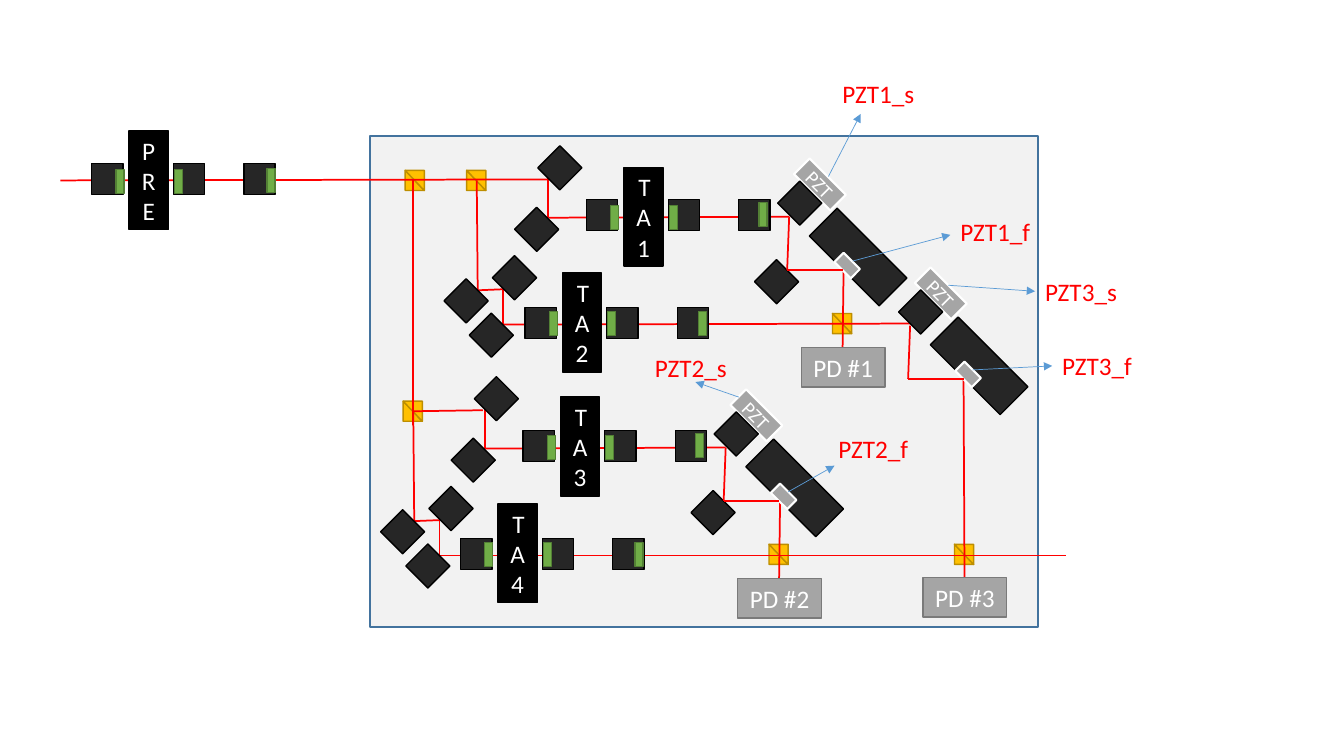
from dataclasses import dataclass
from itertools import pairwise
from typing import NamedTuple

from lxml import etree
from pptx import Presentation
from pptx.dml.color import RGBColor
from pptx.enum.shapes import MSO_CONNECTOR, MSO_SHAPE
from pptx.enum.text import MSO_ANCHOR, PP_ALIGN
from pptx.oxml.ns import qn
from pptx.util import Cm, Length, Pt


class Point(NamedTuple):
    """A place on the slide, in layout units."""
    x: float
    y: float

    def plus(self, dx: float, dy: float) -> "Point":
        """Return this point moved by dx and dy."""
        return Point(self.x + dx, self.y + dy)


class Paint(NamedTuple):
    """Fill colour, line colour and line width in points."""
    fill: str
    line: str
    width: float = 1


@dataclass(frozen=True)
class Theme:
    """Colours and type sizes of the slide."""
    font: str = "Calibri"
    size: int = 18
    small: int = 14
    light: str = "FFFFFF"
    beam: str = "FF0000"
    pointer: str = "5B9BD5"
    board: Paint = Paint("F2F2F2", "43739E")
    splitter: Paint = Paint("FFC000", "BD8E00")
    optic: Paint = Paint("262626", "000000")
    chip: Paint = Paint("000000", "000000")
    window: Paint = Paint("70AD47", "538035")
    detector: Paint = Paint("A5A5A5", "7A7A7A")
    piezo: Paint = Paint("A5A5A5", "FFFFFF", 1.5)


@dataclass(frozen=True)
class Amplifier:
    """A chip, its isolators' drop below its top, and the last window's offset."""
    name: str
    at: Point
    drop: float
    last_window: Point


@dataclass(frozen=True)
class Stage:
    """Two amplifiers merged on one splitter; shift moves the common layout."""
    shift: Point
    amplifiers: tuple[Amplifier, Amplifier]
    detector: str
    output: Point


@dataclass(frozen=True)
class Label:
    """A piezo name with its pointer."""
    text: str
    at: Point
    start: Point
    end: Point


THEME = Theme()
CM_PER_UNIT = 2.54
OPTIC = Point(0.31, 0.31)
CHIP = Point(0.39, 0.98)
WINDOW = Point(0.08, 0.24)
SPLITTER = Point(0.19, 0.2)
DETECTOR = Point(0.83, 0.39)
LABEL = Point(0.92, 0.4)

PRE = Amplifier("PRE", Point(1.28, 1.3), 0.32, Point(1.37, 0.37))
STAGES = (
    Stage(Point(0, 0),
          (Amplifier("TA 1", Point(6.19, 1.66), 0.32, Point(1.34, 0.35)),
           Amplifier("TA 2", Point(5.58, 2.71), 0.34, Point(1.35, 0.38))),
          "PD #1", Point(9.03, 3.21)),
    Stage(Point(-0.63, 2.29),
          (Amplifier("TA 3", Point(5.56, 3.94), 0.33, Point(1.34, 0.36)),
           Amplifier("TA 4", Point(4.94, 5), 0.34, Point(1.36, 0.38))),
          "PD #2", Point(10.58, 5.51)),
)
FINAL_SHIFT = Point(1.2, 1.08)
ALIGNER_SHIFTS = (*(stage.shift for stage in STAGES), FINAL_SHIFT)

# Common layout, given for the upper stage
STAGE_SPLITTERS = (Point(4.63, 1.69), Point(8.26, 3.11))
STAGE_MIRRORS = (Point(5.4, 1.51), Point(5.17, 2.12), Point(4.95, 2.6),
                 Point(4.72, 3.17), Point(4.47, 2.83), Point(7.55, 2.64))
STAGE_DETECTOR = Point(7.95, 3.45)
STAGE_BEAMS = (
    (Point(4.73, 1.79), Point(4.74, 2.88), Point(4.99, 2.87), Point(4.99, 3.22)),
    (Point(5.44, 1.76), Point(5.44, 2.16), Point(7.83, 2.15)),
    (Point(8.37, 2.68), Point(8.36, 3.45)),
)
ALIGNER_BEAM = (Point(7.83, 2.15), Point(7.81, 2.68), Point(8.36, 2.68))

SHARED_SPLITTERS = (Point(9.47, 5.4), Point(4.02, 1.69))
SHARED_BEAMS = (
    (Point(0.6, 1.79), Point(5.44, 1.78)),
    (Point(4.1, 1.78), Point(4.1, 4.22)),
    (Point(4.1, 4.08), Point(4.79, 4.07)),
    (Point(9.56, 3.75), Point(9.57, 5.73)),
)
LABELS = (
    Label("PZT1_s", Point(8.26, 0.73), Point(8.22, 1.75), Point(8.54, 1.13)),
    Label("PZT1_f", Point(9.43, 2.1), Point(8.46, 2.59), Point(9.43, 2.33)),
    Label("PZT2_s", Point(6.4, 3.45), Point(7.33, 3.94), Point(6.9, 3.79)),
    Label("PZT2_f", Point(8.22, 4.25), Point(7.82, 4.88), Point(8.28, 4.62)),
    Label("PZT3_f", Point(10.44, 3.43), Point(9.65, 3.67), Point(10.44, 3.63)),
    Label("PZT3_s", Point(10.27, 2.69), Point(9.41, 2.83), Point(10.27, 2.89)),
)


def length(units: float) -> Length:
    """Turn layout units into a slide length."""
    return Cm(units * CM_PER_UNIT)


def write(frame, text: str, size: int, color: str) -> None:
    """Put one formatted line of text into a text frame."""
    run = frame.paragraphs[0].add_run()
    run.text = text
    run.font.name, run.font.size = THEME.font, Pt(size)
    run.font.color.rgb = RGBColor.from_string(color)


def draw_shape(shapes, at: Point, size: Point, paint: Paint, turn: float = 0,
               kind: MSO_SHAPE = MSO_SHAPE.RECTANGLE):
    """Draw a painted preset shape and return it."""
    shape = shapes.add_shape(kind, *map(length, (*at, *size)))
    shape.shadow.inherit = False
    shape.rotation = turn
    shape.fill.solid()
    shape.fill.fore_color.rgb = RGBColor.from_string(paint.fill)
    shape.line.color.rgb = RGBColor.from_string(paint.line)
    shape.line.width = Pt(paint.width)
    return shape


def caption(shape, text: str, size: int = THEME.size) -> None:
    """Centre light text in a shape."""
    frame = shape.text_frame
    frame.word_wrap = True
    frame.vertical_anchor = MSO_ANCHOR.MIDDLE
    frame.paragraphs[0].alignment = PP_ALIGN.CENTER
    write(frame, text, size, THEME.light)


def draw_line(shapes, start: Point, end: Point, color: str, width: float,
              arrow: bool = False) -> None:
    """Draw a straight connector, with an arrowhead if asked."""
    line = shapes.add_connector(MSO_CONNECTOR.STRAIGHT, *map(length, (*start, *end)))
    line.line.color.rgb = RGBColor.from_string(color)
    line.line.width = Pt(width)
    properties = line.element.find(qn("p:spPr"))
    if arrow:
        etree.SubElement(properties.find(qn("a:ln")), qn("a:tailEnd"), type="triangle")
    etree.SubElement(properties, qn("a:effectLst"))


def draw_beam(shapes, path: tuple[Point, ...], shift: Point = Point(0, 0)) -> None:
    """Draw a laser beam through the points of a path."""
    for start, end in pairwise(point.plus(*shift) for point in path):
        draw_line(shapes, start, end, THEME.beam, 1.25)


def draw_splitter(shapes, at: Point) -> None:
    """Draw a beam splitter from two triangles."""
    for turn in (0, 180):
        draw_shape(shapes, at, SPLITTER, THEME.splitter, turn, MSO_SHAPE.RIGHT_TRIANGLE)


def draw_amplifier(shapes, amplifier: Amplifier) -> None:
    """Draw a chip with its three isolators and their windows."""
    at = amplifier.at
    for dx in (-0.37, 0.44, 1.14):
        draw_shape(shapes, at.plus(dx, amplifier.drop), OPTIC, THEME.optic)
    caption(draw_shape(shapes, at, CHIP, THEME.chip), amplifier.name)
    for offset in (Point(-0.13, 0.38), Point(0.45, 0.38), amplifier.last_window):
        draw_shape(shapes, at.plus(*offset), WINDOW, THEME.window)


def draw_detector(shapes, at: Point, name: str) -> None:
    """Draw a named photodetector."""
    caption(draw_shape(shapes, at, DETECTOR, THEME.detector), name)


def draw_aligner(shapes, shift: Point) -> None:
    """Draw the slow and fast piezos with their mirrors."""
    slow = draw_shape(shapes, Point(7.88, 1.72).plus(*shift), Point(0.51, 0.22), THEME.piezo, 45)
    frame = slow.text_frame
    frame.margin_left = frame.margin_right = frame.margin_top = frame.margin_bottom = Cm(0)
    caption(slow, "PZT", THEME.small)
    draw_shape(shapes, Point(7.78, 1.86).plus(*shift), OPTIC, THEME.optic, 315)
    draw_shape(shapes, Point(8.32, 2.06).plus(*shift), CHIP, THEME.optic, 315)
    draw_shape(shapes, Point(8.29, 2.57).plus(*shift), Point(0.23, 0.13), THEME.piezo, 45)


def draw_label(shapes, label: Label) -> None:
    """Draw a piezo name and the arrow that leads to it."""
    box = shapes.add_textbox(*map(length, (*label.at, *LABEL)))
    box.text_frame.word_wrap = False
    write(box.text_frame, label.text, THEME.size, THEME.beam)
    draw_line(shapes, label.start, label.end, THEME.pointer, 0.5, arrow=True)


def draw_setup(shapes) -> None:
    """Draw the board, then splitters, beams, parts and labels on top."""
    draw_shape(shapes, Point(3.67, 1.35), Point(6.63, 4.87), THEME.board)
    moved = [at.plus(*stage.shift) for stage in STAGES for at in STAGE_SPLITTERS]
    for at in (*SHARED_SPLITTERS, *moved):
        draw_splitter(shapes, at)
    for path in SHARED_BEAMS:
        draw_beam(shapes, path)
    for stage in STAGES:
        for path in STAGE_BEAMS:
            draw_beam(shapes, path, stage.shift)
        draw_beam(shapes, (Point(4.99, 3.22).plus(*stage.shift), stage.output))
    for stage in STAGES:
        for at in STAGE_MIRRORS:
            draw_shape(shapes, at.plus(*stage.shift), OPTIC, THEME.optic, 315)
        for amplifier in stage.amplifiers:
            draw_amplifier(shapes, amplifier)
        draw_detector(shapes, STAGE_DETECTOR.plus(*stage.shift), stage.detector)
    draw_amplifier(shapes, PRE)
    draw_detector(shapes, Point(9.16, 5.73), "PD #3")
    for shift in ALIGNER_SHIFTS:
        draw_aligner(shapes, shift)
        draw_beam(shapes, ALIGNER_BEAM, shift)
    for label in LABELS:
        draw_label(shapes, label)


def main() -> None:
    """Build and save the slide."""
    deck = Presentation()
    deck.slide_width, deck.slide_height = Cm(33.87), Cm(19.05)
    draw_setup(deck.slides.add_slide(deck.slide_layouts[6]).shapes)
    deck.save("out.pptx")


main()
